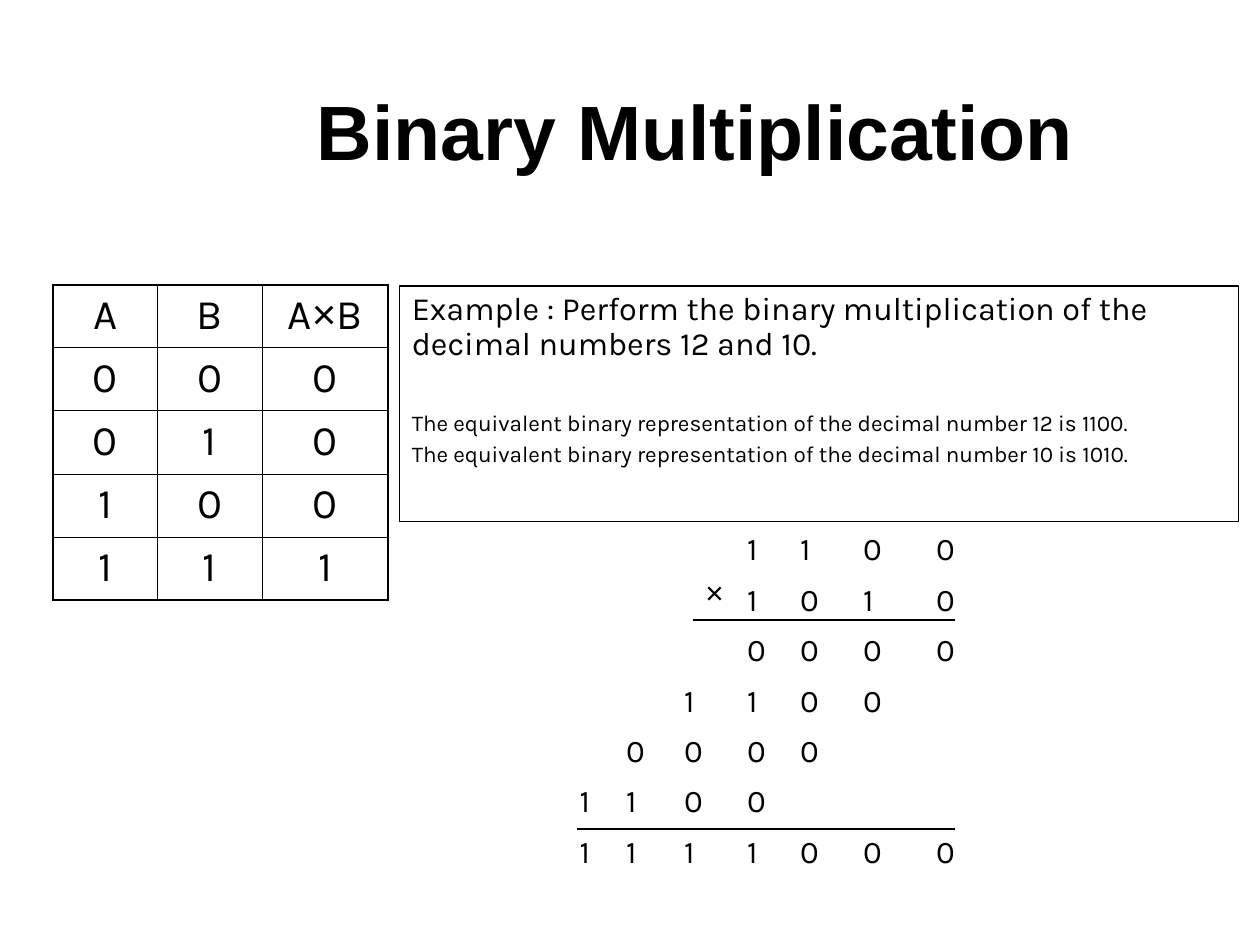
from lxml import etree
from pptx import Presentation
from pptx.dml.color import RGBColor
from pptx.enum.shapes import MSO_CONNECTOR, MSO_SHAPE
from pptx.enum.text import MSO_ANCHOR, PP_ALIGN
from pptx.oxml.ns import qn
from pptx.util import Inches, Pt

LEFT, CENTER = PP_ALIGN.LEFT, PP_ALIGN.CENTER
TOP, MIDDLE = MSO_ANCHOR.TOP, MSO_ANCHOR.MIDDLE
RECT, STRAIGHT = MSO_SHAPE.RECTANGLE, MSO_CONNECTOR.STRAIGHT
BLACK = "000000"
BODY, HEAD = "Karla", "Arial"
PLAIN = "{2D5ABB26-0587-4C30-8999-92F81FD0307C}"  # no style, no grid

TRUTH = [["A", "B", "A×B"], *("000", "010", "100", "111")]
EXAMPLE = [
    ("Example : Perform the binary multiplication of the decimal numbers 12 and 10.", 18.5, 5),
    ("The equivalent binary representation of the decimal number 12 is 1100.", 12.9, 28.5),
    ("The equivalent binary representation of the decimal number 10 is 1010.", 12.9, 3.5),
]
# Each row of digits with its shift to the left
WORK = [("1100", 0), ("1010", 0), ("0000", 0), ("1100", 1),
        ("0000", 2), ("1100", 3), ("1111000", 0)]


def color(code):
    return RGBColor.from_string(code)


def style(para, size, font=BODY, bold=False, align=LEFT, before=0):
    para.alignment = align
    para.space_before = Pt(before)
    for run in para.runs:
        run.font.size = Pt(size)
        run.font.name = HEAD if run.text == "×" else font
        run.font.bold = bold
        run.font.color.rgb = color(BLACK)


def add_text(slide, box, text, size, bold=False, align=LEFT, anchor=TOP):
    frame = slide.shapes.add_textbox(*map(Inches, box)).text_frame
    frame.word_wrap = True
    frame.vertical_anchor = anchor
    frame.text = text
    style(frame.paragraphs[0], size, HEAD, bold, align)


def add_rule(slide, left, right, top):
    line = slide.shapes.add_connector(
        STRAIGHT, Inches(left), Inches(top), Inches(right), Inches(top))
    line.line.color.rgb = color(BLACK)
    line.line.width = Pt(0.75)
    etree.SubElement(line._element.spPr, qn("a:effectLst"))


def add_grid(slide, box, rows, widths):
    """Add an unstyled table with equal row heights."""
    table = slide.shapes.add_table(rows, len(widths), *map(Inches, box)).table
    table.first_row = table.horz_banding = False
    table._tbl.tblPr.find(qn("a:tableStyleId")).text = PLAIN
    for col, width in zip(table.columns, widths):
        col.width = Inches(width)
    for row in table.rows:
        row.height = Inches(box[3] / rows)
    for cell in table.iter_cells():
        cell.fill.background()
    return table


def add_border(cell, outer):
    """Draw all four sides, heavier on the sides named in outer."""
    props = cell._tc.get_or_add_tcPr()
    for index, side in enumerate("LRTB"):
        width = Pt(1.08 if side in outer else 0.45)
        line = etree.Element(qn(f"a:ln{side}"), w=str(int(width)))
        fill = etree.SubElement(line, qn("a:solidFill"))
        etree.SubElement(fill, qn("a:srgbClr"), val=BLACK)
        props.insert(index, line)


def add_truth(slide, box):
    table = add_grid(slide, box, len(TRUTH), [0.83, 0.83, 1])
    last = len(TRUTH) - 1
    for r, row in enumerate(TRUTH):
        for c, text in enumerate(row):
            cell = table.cell(r, c)
            para = cell.text_frame.paragraphs[0]
            for part in text:
                para.add_run().text = part
            style(para, 24, align=CENTER, before=6)
            sides = {"L": c == 0, "R": c == 2, "T": r == 0, "B": r == last}
            add_border(cell, [side for side, edge in sides.items() if edge])


def add_example(slide, box):
    shape = slide.shapes.add_shape(RECT, *map(Inches, box))
    shape.shadow.inherit = False
    shape.fill.background()
    shape.line.color.rgb = color(BLACK)
    shape.line.width = Pt(0.75)
    frame = shape.text_frame
    frame.word_wrap = True
    frame.vertical_anchor = TOP
    frame.text = "\n".join(text for text, _, _ in EXAMPLE)
    for para, (_, size, before) in zip(frame.paragraphs, EXAMPLE):
        style(para, size, before=before)
        para.line_spacing = 0.9


def add_work(slide, box):
    left, top, width, height = box
    widths = [0.37, 0.46, 0.5, 0.42, 0.5, 0.58, 0.42]
    table = add_grid(slide, box, len(WORK), widths)
    for r, (digits, shift) in enumerate(WORK):
        line = (digits + " " * shift).rjust(len(widths))
        for c, digit in enumerate(line):
            cell = table.cell(r, c)
            if digit == " ":
                cell.margin_top = cell.margin_bottom = 0
                continue
            cell.text_frame.text = digit
            style(cell.text_frame.paragraphs[0], 18, before=4.5)
    right = left + 3.08
    add_rule(slide, left + 1, right, top + 0.75)
    add_text(slide, (left + 1, top + 0.33, 0.42, 0.4), "×", 18)
    add_rule(slide, left + 0.08, right, top + 2.41)


def main():
    deck = Presentation()
    deck.slide_width, deck.slide_height = Inches(10), Inches(7.5)
    slide = deck.slides.add_slide(deck.slide_layouts[6])
    add_text(slide, (1.26, 0.23, 8.52, 1.6), "Binary Multiplication", 44,
             True, CENTER, MIDDLE)
    add_truth(slide, (0.42, 2.26, 2.66, 2.5))
    add_example(slide, (3.17, 2.27, 6.66, 1.87))
    add_work(slide, (4.5, 4.17, 3.25, 2.8))
    deck.save("out.pptx")


if __name__ == "__main__":
    main()
